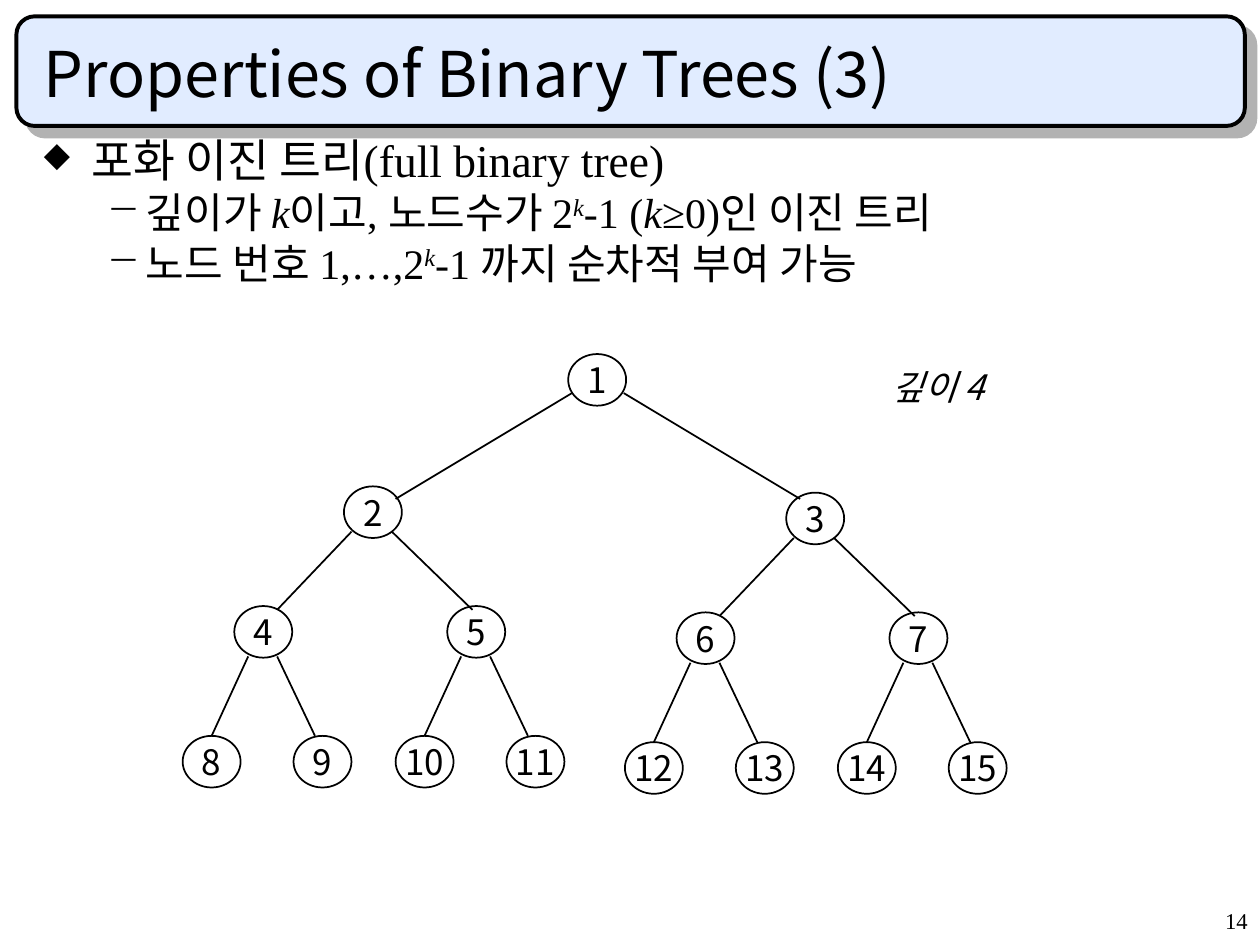
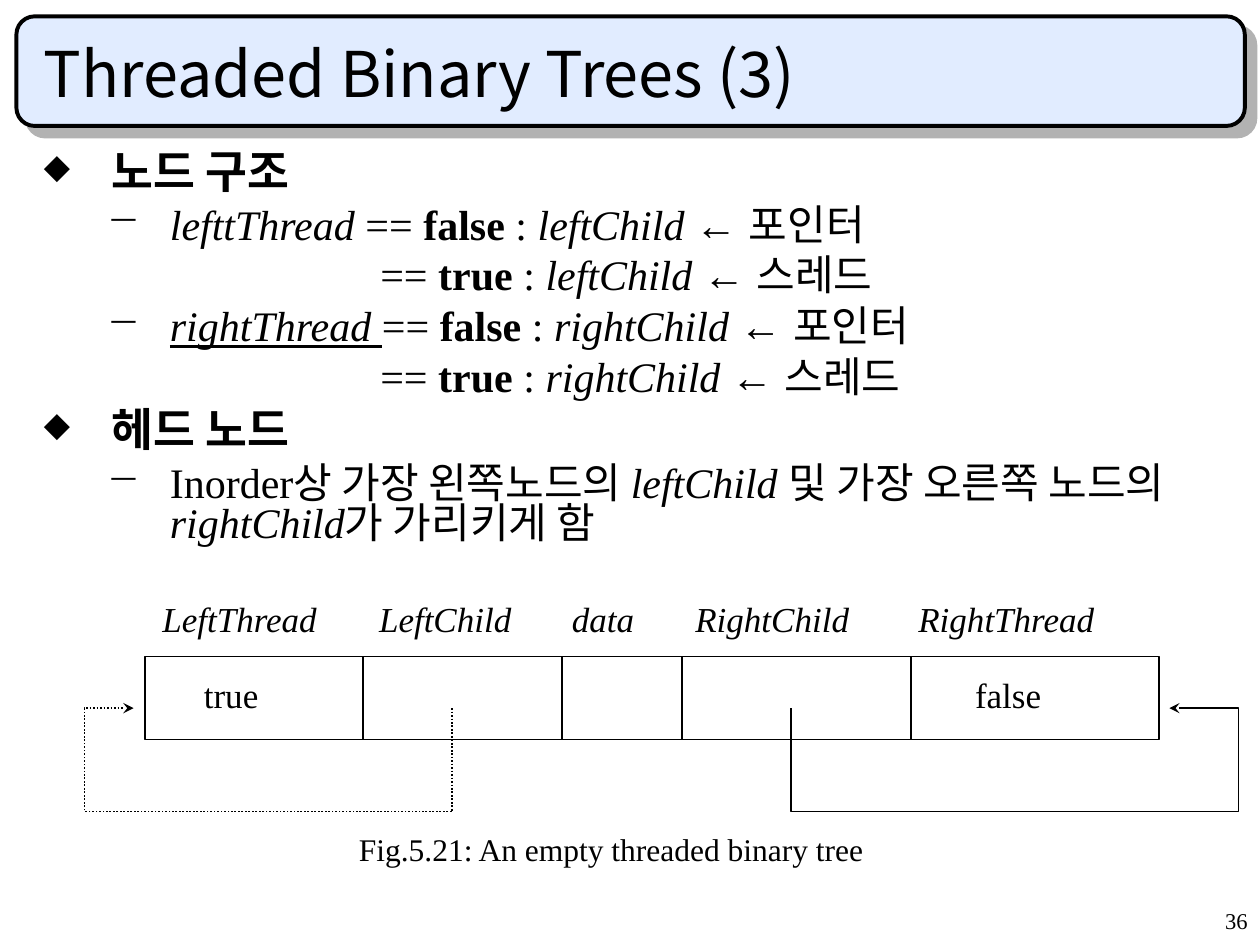
from dataclasses import dataclass

from lxml.etree import SubElement
from pptx import Presentation
from pptx.dml.color import RGBColor
from pptx.enum.dml import MSO_LINE
from pptx.enum.shapes import MSO_CONNECTOR, MSO_SHAPE
from pptx.enum.text import MSO_ANCHOR, PP_ALIGN
from pptx.oxml.ns import qn
from pptx.util import Inches, Pt


@dataclass(frozen=True)
class Theme:
    ink: RGBColor = RGBColor(0, 0, 0)
    band: RGBColor = RGBColor(0xE1, 0xEC, 0xFF)
    shadow: str = "B2B2B2"
    sans: str = "Noto Sans CJK KR"
    serif: str = "Times New Roman"
    arrow: str = "Arial"
    title: float = 36
    topic: float = 26
    detail: float = 24
    label: float = 20
    caption: float = 18
    number: float = 12.9
    thin: float = 1
    thick: float = 2.25


theme = Theme()


def write_runs(paragraph, runs, size, face):
    for text, style in runs:
        run = paragraph.add_run()
        run.text = text
        font = run.font
        font.size = Pt(size)
        font.name = theme.arrow if "a" in style else face
        font.color.rgb = theme.ink
        font.bold = "b" in style
        font.italic = "i" in style
        font.underline = "u" in style
        properties = font._element
        if "^" in style:
            properties.set("baseline", "30000")
        SubElement(properties, qn("a:ea")).set("typeface", theme.sans)


def add_text(slide, area, text="", size=theme.label, face=theme.serif, style=""):
    frame = slide.shapes.add_textbox(*map(Inches, area)).text_frame
    frame.word_wrap = True
    if text:
        write_runs(frame.paragraphs[0], [(text, style)], size, face)
    return frame


presentation = Presentation()
presentation.slide_width = Inches(10)
presentation.slide_height = Inches(7.5)

full_tree_points = [
    ("topic", [("포화 이진 트리(full binary tree)", "")]),
    ("detail", [("깊이가 ", ""), ("k", "i"), ("이고, 노드수가 2", ""), ("k", "i^"),
                ("-1 (", ""), ("k", "i"), ("≥0)인 이진 트리", "")]),
    ("detail", [("노드 번호 1,…,2", ""), ("k", "i^"), ("-1 까지 순차적 부여 가능", "")]),
]

thread_points = [("topic", [("노드 구조", "b")])]
for thread_runs, child in [
    ([("lefttThread", "i"), (" ", "")], "leftChild "),
    ([("rightThread", "iu"), (" ", "u")], "rightChild "),
]:
    for kind, opening, flag, target in [
        ("detail", thread_runs, "false", "포인터"),
        ("continued", [], "true", "스레드"),
    ]:
        thread_points.append((kind, opening + [
            ("== ", ""), (flag, "b"), (" : ", ""), (child, "i"), ("← ", "a"), (target, "")]))
thread_points += [
    ("topic", [("헤드 노드", "b")]),
    ("detail", [("Inorder상 가장 왼쪽노드의 ", ""), ("leftChild ", "i"),
                ("및 가장 오른쪽 노드의 ", ""), ("rightChild", "i"), ("가 가리키게 함", "")]),
]

pages = [
    ("Properties of Binary Trees (3)", "14", (0.25, 1.08, 9.42, 1.42), full_tree_points,
     {"topic": (0.38, -0.38), "detail": (0.81, -0.31)}),
    ("Threaded Binary Trees (3)", "36", (0.25, 1.17, 9.42, 3.29), thread_points,
     {"topic": (0.54, -0.54), "detail": (1, -0.5), "continued": (2.67, 0)}),
]

slides = []
for title, number, body_area, points, indents in pages:
    slide = presentation.slides.add_slide(presentation.slide_layouts[6])
    slides.append(slide)

    band = slide.shapes.add_shape(
        MSO_SHAPE.ROUNDED_RECTANGLE, Inches(0.13), Inches(0.13), Inches(9.75), Inches(0.87))
    band.adjustments[0] = 0.167
    band.fill.solid()
    band.fill.fore_color.rgb = theme.band
    band.line.color.rgb = theme.ink
    band.line.width = Pt(theme.thick)
    effects = SubElement(band._element.spPr, qn("a:effectLst"))
    cast = SubElement(effects, qn("a:outerShdw"), dist=str(Pt(8.5)), dir="2700000",
                      algn="ctr", rotWithShape="0")
    SubElement(cast, qn("a:srgbClr"), val=theme.shadow)

    heading = add_text(slide, (0.25, 0.25, 9.42, 0.67), title, theme.title, theme.sans)
    heading.vertical_anchor = MSO_ANCHOR.BOTTOM
    page_number = add_text(slide, (7.92, 7.17, 2.08, 0.33), number, theme.number)
    page_number.paragraphs[0].alignment = PP_ALIGN.RIGHT
    page_number.paragraphs[0].line_spacing = 0.9

    body = add_text(slide, body_area)
    for index, (kind, runs) in enumerate(points):
        paragraph = body.add_paragraph() if index else body.paragraphs[0]
        is_topic = kind == "topic"
        paragraph.level = 0 if is_topic else 1
        paragraph.line_spacing = 0.8
        if index:
            paragraph.space_before = Pt(6.5 if is_topic else 6)
        margin, indent = indents[kind]
        properties = paragraph._p.get_or_add_pPr()
        properties.set("marL", str(Inches(margin)))
        properties.set("indent", str(Inches(indent)))
        if kind == "continued":
            SubElement(properties, qn("a:buNone"))
        else:
            bullet_color = SubElement(properties, qn("a:buClr"))
            SubElement(bullet_color, qn("a:srgbClr"), val=str(theme.ink))
            if is_topic:
                SubElement(properties, qn("a:buSzPct"), val="75000")
            SubElement(properties, qn("a:buChar"), char="◆" if is_topic else "−")
        write_runs(paragraph, runs, theme.topic if is_topic else theme.detail, theme.serif)

tree_slide, thread_slide = slides
segments = []

branches = {
    1: [((-1.78, 1.05), (0.03, 0.31), (0.41, 0.10)), ((1.73, 1.10), (0.44, 0.31), (0.11, 0.05))],
    2: [((-0.87, 0.95), (0.06, 0.36), (0.34, 0.03)), ((0.82, 0.95), (0.38, 0.36), (0.20, 0.03))],
    3: [((-0.41, 1.03), (0.11, 0.40), (0.23, 0)), ((0.47, 1.03), (0.34, 0.40), (0.17, 0))],
}
nodes = {1: (4.51, 2.81)}
for child in range(2, 16):
    parent_x, parent_y = nodes[child // 2]
    depth = child.bit_length() - 1
    (step_x, step_y), (start_x, start_y), (end_x, end_y) = branches[depth][child % 2]
    child_x, child_y = nodes[child] = parent_x + step_x, parent_y + step_y
    segments.append((tree_slide, parent_x + start_x, parent_y + start_y,
                     child_x + end_x, child_y + end_y))

for value, (x, y) in nodes.items():
    node = tree_slide.shapes.add_shape(
        MSO_SHAPE.OVAL, Inches(x), Inches(y), Inches(0.46), Inches(0.41))
    node.shadow.inherit = False
    node.fill.background()
    node.line.color.rgb = theme.ink
    node.line.width = Pt(theme.thin)
    node.text_frame.word_wrap = False
    node.text_frame.vertical_anchor = MSO_ANCHOR.MIDDLE
    node_label = node.text_frame.paragraphs[0]
    node_label.alignment = PP_ALIGN.CENTER
    write_runs(node_label, [(str(value), "")], theme.label, theme.sans)

add_text(tree_slide, (6.98, 2.85, 1.3, 0.43), "깊이 4", theme.label, theme.sans, "i")

record = thread_slide.shapes.add_shape(
    MSO_SHAPE.RECTANGLE, Inches(1.15), Inches(5.21), Inches(8.05), Inches(0.66))
record.shadow.inherit = False
record.fill.background()
record.line.color.rgb = theme.ink
record.line.width = Pt(theme.thin)
for divider_x in (2.88, 4.46, 5.41, 7.23):
    segments.append((thread_slide, divider_x, 5.21, divider_x, 5.87))

for field, x in [("LeftThread", 1.19), ("LeftChild", 2.91), ("data", 4.44),
                 ("RightChild", 5.42), ("RightThread", 7.19)]:
    add_text(thread_slide, (x, 4.69, 1.75, 0.43), field, style="i")
for flag, x in [("true", 1.52), ("false", 7.64)]:
    add_text(thread_slide, (x, 5.3, 1, 0.43), flag)

for child_x, outer_x, tip_x, dash in [
    (3.59, 0.67, 1.06, MSO_LINE.ROUND_DOT),
    (6.28, 9.83, 9.28, MSO_LINE.SOLID),
]:
    route = thread_slide.shapes.build_freeform(Inches(child_x), Inches(5.62))
    route.add_line_segments(
        [(Inches(x), Inches(y)) for x, y in
         [(child_x, 6.44), (outer_x, 6.44), (outer_x, 5.62), (tip_x, 5.62)]], close=False)
    thread = route.convert_to_shape()
    thread.shadow.inherit = False
    thread.fill.background()
    thread.line.color.rgb = theme.ink
    thread.line.width = Pt(theme.thin)
    thread.line.dash_style = dash
    SubElement(thread.line._get_or_add_ln(), qn("a:tailEnd"), type="stealth")

add_text(thread_slide, (2.75, 6.54, 4.5, 0.4),
         "Fig.5.21: An empty threaded binary tree", theme.caption)

for slide, *ends in segments:
    segment = slide.shapes.add_connector(MSO_CONNECTOR.STRAIGHT, *map(Inches, ends))
    segment.line.color.rgb = theme.ink
    segment.line.width = Pt(theme.thin)
    SubElement(segment._element.spPr, qn("a:effectLst"))

presentation.save("out.pptx")
